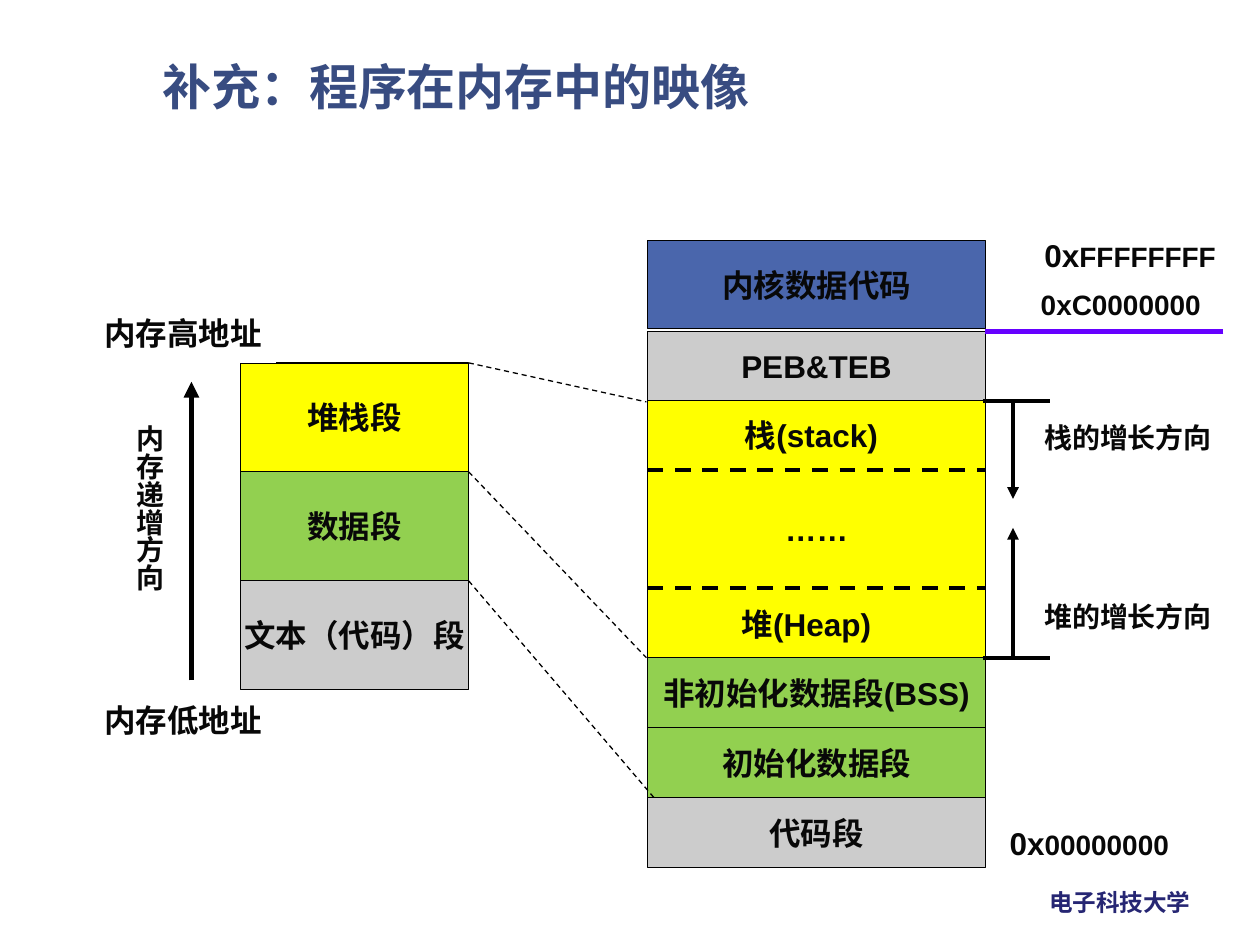
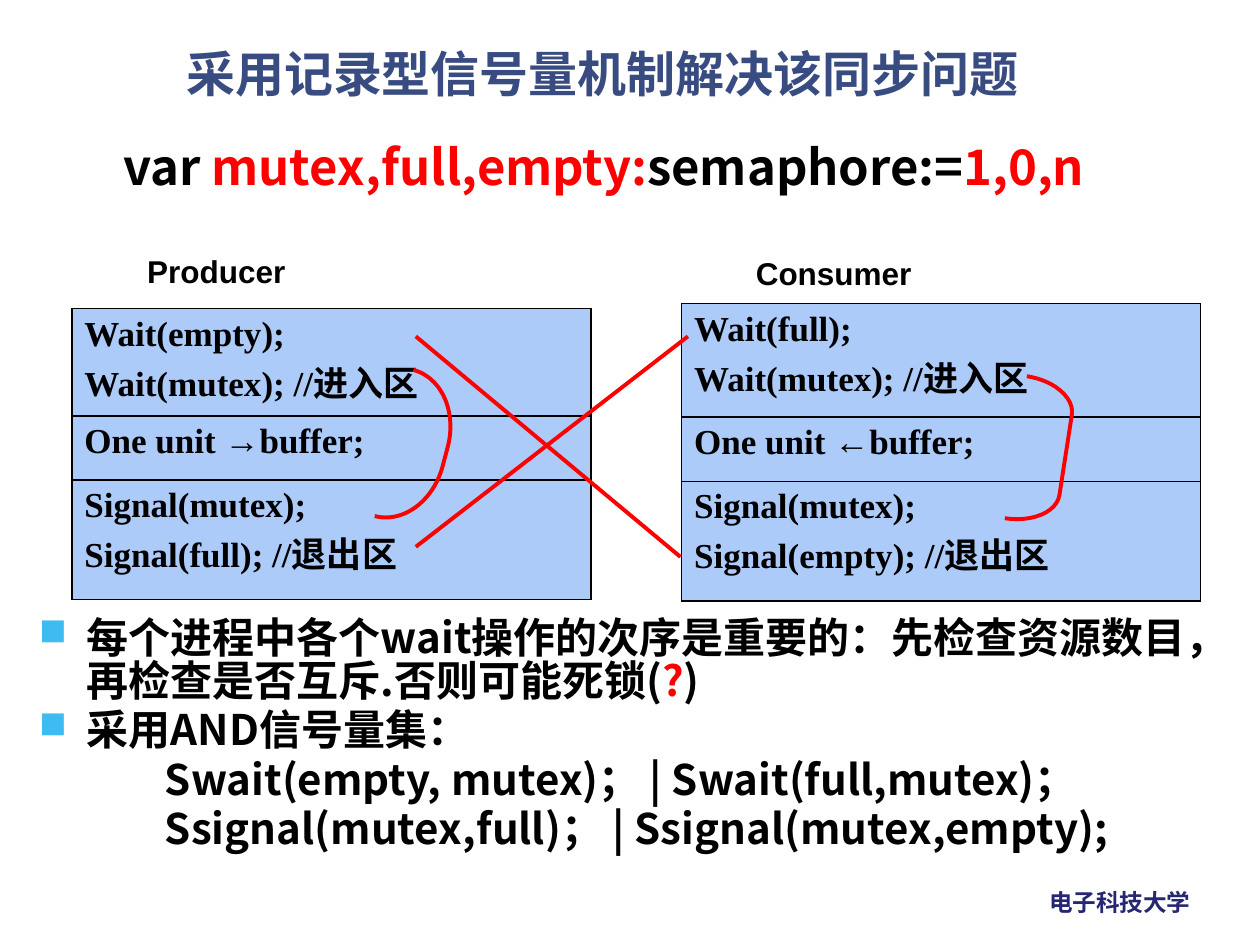
"""Build two lecture slides: a process memory map and the producer-consumer semaphores."""
from dataclasses import dataclass
from typing import NamedTuple, Optional

from lxml.etree import SubElement
from pptx import Presentation
from pptx.dml.color import RGBColor
from pptx.enum.dml import MSO_LINE_DASH_STYLE as Dash
from pptx.enum.shapes import MSO_CONNECTOR as Connector, MSO_SHAPE as Preset
from pptx.enum.text import MSO_ANCHOR as Anchor, PP_ALIGN as Align
from pptx.oxml.ns import qn
from pptx.util import Inches, Pt

BLACK = RGBColor(0, 0, 0)
INK = RGBColor(0x08, 0x08, 0x08)
WHITE = RGBColor(0xFF, 0xFF, 0xFF)
TITLE_BLUE = RGBColor(0x38, 0x4C, 0x81)
FOOTER_NAVY = RGBColor(0x26, 0x26, 0x73)
KERNEL_BLUE = RGBColor(0x4A, 0x66, 0xAC)
GRAY = RGBColor(0xCC, 0xCC, 0xCC)
YELLOW = RGBColor(0xFF, 0xFF, 0x00)
GREEN = RGBColor(0x92, 0xD0, 0x50)
VIOLET = RGBColor(0x66, 0x00, 0xFF)
RED = RGBColor(0xFF, 0, 0)
CODE_BLUE = RGBColor(0xAC, 0xCB, 0xF9)
BULLET_BLUE = RGBColor(0x3E, 0xBB, 0xF0)

ARIAL, NOTO, TIMES = "Arial", "Noto Sans CJK SC", "Times New Roman"
COLUMNS, ROWS = 100, 75
SLIDE_WIDTH, SLIDE_HEIGHT = Inches(10), Inches(7.5)


class Area(NamedTuple):
    left: float
    top: float
    width: float
    height: float


class Run(NamedTuple):
    text: str
    size: Optional[float] = None
    color: Optional[RGBColor] = None


@dataclass(frozen=True)
class Style:
    font: str = ARIAL
    size: float = 18
    color: RGBColor = INK
    align: Align = Align.LEFT
    line_spacing: Optional[float] = None
    space_before: float = 0


@dataclass(frozen=True)
class Para:
    runs: tuple[Run, ...]
    bullet: bool = False
    left: float = 0
    first: float = 0


@dataclass(frozen=True)
class Box:
    area: Area
    paras: tuple[Para, ...]
    style: Style
    fill: Optional[RGBColor] = None
    outlined: bool = False
    anchor: Anchor = Anchor.TOP
    wrap: bool = True
    inset: float = 0
    vertical: bool = False


@dataclass(frozen=True)
class Line:
    start: tuple[float, float]
    end: tuple[float, float]
    width: float = 2.25
    color: RGBColor = BLACK
    dashed: bool = False
    arrow: bool = False


@dataclass(frozen=True)
class Process:
    name: str
    label: Area
    code: Area
    rows: tuple[float, ...]
    sections: tuple[tuple[str, ...], ...]


@dataclass(frozen=True)
class Bracket:
    area: Area
    rotation: float
    curve: float


TITLE = Style(NOTO, 28, TITLE_BLUE, line_spacing=0.9)
FOOTER = Style(NOTO, 13.5, FOOTER_NAVY)
CENTERED = Style(align=Align.CENTER)
ADDRESS_END = Style(TIMES, 18, align=Align.JUSTIFY)
DIRECTION = Style(TIMES, 16, align=Align.JUSTIFY)
DECLARATION = Style(NOTO, 28, BLACK)
NOTES = Style(NOTO, 24, BLACK, line_spacing=0.86, space_before=3.4)
PROCESS_NAME = Style(color=BLACK)
CODE = Style(TIMES, 20, BLACK, space_before=1)


def x(columns: float) -> int:
    return round(SLIDE_WIDTH * columns / COLUMNS)


def y(rows: float) -> int:
    return round(SLIDE_HEIGHT * rows / ROWS)


def place(area: Area) -> tuple[int, int, int, int]:
    return x(area.left), y(area.top), x(area.width), y(area.height)


def plain(*texts: str) -> tuple[Para, ...]:
    return tuple(Para((Run(text),)) for text in texts)


def add_bullet(properties) -> None:
    color = SubElement(properties, qn("a:buClr"))
    SubElement(color, qn("a:srgbClr"), val=str(BULLET_BLUE))
    SubElement(properties, qn("a:buSzPct"), val="90000")
    SubElement(properties, qn("a:buChar"), char="■")


def write(frame, paras: tuple[Para, ...], style: Style) -> None:
    for index, para in enumerate(paras):
        paragraph = frame.paragraphs[0] if index == 0 else frame.add_paragraph()
        properties = paragraph._p.get_or_add_pPr()
        if para.left:
            properties.set("marL", str(x(para.left)))
            properties.set("indent", str(x(para.first)))
        if para.bullet:
            add_bullet(properties)
        paragraph.alignment = style.align
        if style.line_spacing:
            paragraph.line_spacing = style.line_spacing
        if index and style.space_before:
            paragraph.space_before = Pt(style.space_before)
        font = paragraph.font
        font.size, font.bold, font.name = Pt(style.size), True, style.font
        font.color.rgb = style.color
        SubElement(font._element, qn("a:ea"), typeface=NOTO)
        for part in para.runs:
            run = paragraph.add_run()
            run.text = part.text
            if part.size:
                run.font.size = Pt(part.size)
            if part.color:
                run.font.color.rgb = part.color


def draw_box(slide, box: Box) -> None:
    if box.fill is None:
        shape = slide.shapes.add_textbox(*place(box.area))
    else:
        shape = slide.shapes.add_shape(Preset.RECTANGLE, *place(box.area))
        shape.shadow.inherit = False
        shape.fill.solid()
        shape.fill.fore_color.rgb = box.fill
        if box.outlined:
            shape.line.color.rgb = BLACK
            shape.line.width = Pt(0.75)
        else:
            shape.line.fill.background()
    frame = shape.text_frame
    frame.word_wrap = box.wrap
    frame.vertical_anchor = box.anchor
    frame.margin_top = frame.margin_bottom = y(box.inset)
    if box.vertical:
        frame._txBody.bodyPr.set("vert", "eaVert")
    write(frame, box.paras, box.style)


def draw_line(slide, line: Line) -> None:
    (x1, y1), (x2, y2) = line.start, line.end
    link = slide.shapes.add_connector(Connector.STRAIGHT, x(x1), y(y1), x(x2), y(y2))
    link.line.color.rgb = line.color
    link.line.width = Pt(line.width)
    if line.dashed:
        link.line.dash_style = Dash.DASH
    if line.arrow:
        SubElement(link.line._get_or_add_ln(), qn("a:tailEnd"), type="triangle")
    SubElement(link._element.spPr, qn("a:effectLst"))


def draw_bracket(slide, bracket: Bracket) -> None:
    shape = slide.shapes.add_shape(Preset.RIGHT_BRACKET, *place(bracket.area))
    shape.shadow.inherit = False
    shape.adjustments[0] = bracket.curve
    shape.rotation = bracket.rotation
    shape.fill.background()
    shape.line.color.rgb = RED
    shape.line.width = Pt(2.25)


def border_cell(cell) -> None:
    properties = cell._tc.get_or_add_tcPr()
    for position, side in enumerate(("lnL", "lnR", "lnT", "lnB")):
        edge = properties.makeelement(qn(f"a:{side}"), {"w": str(Pt(1))})
        fill = SubElement(edge, qn("a:solidFill"))
        SubElement(fill, qn("a:srgbClr"), val=str(BLACK))
        properties.insert(position, edge)


def draw_process(slide, process: Process) -> None:
    draw_box(slide, Box(process.label, plain(f"\t{process.name}"), PROCESS_NAME, inset=0.5))
    table = slide.shapes.add_table(len(process.rows), 1, *place(process.code)).table
    table.first_row = table.horz_banding = False
    for index, (height, section) in enumerate(zip(process.rows, process.sections)):
        table.rows[index].height = y(height)
        cell = table.cell(index, 0)
        cell.fill.solid()
        cell.fill.fore_color.rgb = CODE_BLUE
        border_cell(cell)
        write(cell.text_frame, plain(*section), CODE)


def start_slide(deck, title: str, title_area: Area):
    slide = deck.slides.add_slide(deck.slide_layouts[6])
    draw_box(slide, Box(Area(82.3, 70.5, 13.4, 3.3), plain("电子科技大学"), FOOTER, wrap=False))
    draw_box(slide, Box(title_area, plain(title), TITLE))
    return slide


def segment(text: str, area: Area, fill: Optional[RGBColor] = None) -> Box:
    return Box(area, plain(text), CENTERED, fill, True, Anchor.MIDDLE, False, 0.5)


def build_memory_map(deck) -> None:
    slide = start_slide(deck, "补充：程序在内存中的映像", Area(11.9, 5, 76.4, 7.6))
    map_left, map_width, row = 51.4, 26.8, 5.55
    stack_top, heap_bottom, map_right = 31.8, 52.2, 78.2
    program_left, program_top, program_row, program_right = 19.1, 28.8, 8.65, 37.2

    def mapped(text: str, top: float, height: float, fill: RGBColor) -> Box:
        return segment(text, Area(map_left, top, map_width, height), fill)

    program = (("堆栈段", YELLOW), ("数据段", GREEN), ("文本（代码）段", GRAY))
    lower = (("非初始化数据段(BSS)", GREEN), ("初始化数据段", GREEN), ("代码段", GRAY))
    boxes = [
        segment(text, Area(program_left, program_top + i * program_row, 18.1, program_row), fill)
        for i, (text, fill) in enumerate(program)
    ]
    boxes += [
        mapped("内核数据代码", 19.1, 7, KERNEL_BLUE),
        mapped("PEB&TEB", 26.3, 5.5, GRAY),
        mapped("……", stack_top, heap_bottom - stack_top, YELLOW),
        *(mapped(text, heap_bottom + i * row, row, fill) for i, (text, fill) in enumerate(lower)),
        segment("栈(stack)", Area(51.4, 31, 26, 7.1)),
        segment("堆(Heap)", Area(50.6, 46, 26.8, 7.1)),
        Box(Area(7.3, 24.9, 14.6, 3.9), plain("内存高地址"), ADDRESS_END, WHITE),
        Box(Area(7.3, 55.6, 14.6, 3.9), plain("内存低地址"), ADDRESS_END, WHITE),
        Box(Area(8.4, 33.7, 5.3, 19.5), plain("内存递增方向"), DIRECTION, WHITE, vertical=True),
        Box(Area(81.9, 33.4, 16, 3.9), plain("栈的增长方向"), DIRECTION),
        Box(Area(81.9, 47.6, 16, 3.9), plain("堆的增长方向"), DIRECTION),
    ]
    addresses = (
        (Area(79.4, 18.2, 20.6, 4.1), (Run("0x"), Run("FFFFFFFF", 16))),
        (Area(79.1, 22.3, 19.7, 3.7), (Run("0xC0000000", 16),)),
        (Area(75.8, 64.9, 21.3, 4.1), (Run("0x"), Run("00000000", 16))),
    )
    boxes += [Box(area, (Para(runs),), CENTERED, inset=0.5) for area, runs in addresses]
    for box in boxes:
        draw_box(slide, box)

    lines = [Line((map_left, top), (map_right, top), dashed=True) for top in (37.3, 46.7)]
    lines += [Line((78, top), (83.3, top)) for top in (stack_top, heap_bottom)]
    lines += [
        Line((program_right, program_top + i * program_row), end, 0.75, dashed=True)
        for i, end in enumerate(((51.3, 31.9), (51.3, 52.2), (51.9, 63.3)))
    ]
    lines += [
        Line((15.2, 54), (15.2, 30.3), 3, arrow=True),
        Line((80.4, stack_top), (80.4, 39.6), arrow=True),
        Line((80.4, heap_bottom), (80.4, 41.9), arrow=True),
        Line((97.1, 26.3), (map_right, 26.3), 3, VIOLET),
    ]
    for line in lines:
        draw_line(slide, line)


def build_semaphores(deck) -> None:
    slide = start_slide(deck, "采用记录型信号量机制解决该同步问题", Area(13.8, 4, 85, 4.2))
    declaration = (Run("var "), Run("mutex,full,empty:", color=RED),
                   Run("semaphore:="), Run("1,0,n", color=RED))
    draw_box(slide, Box(Area(8.8, 10.8, 84.3, 5.7), (Para(declaration),), DECLARATION))
    order = (Run("每个进程中各个wait操作的次序是重要的：先检查资源数目，再检查是否互斥.否则可能死锁("),
             Run("?", color=RED), Run(")"))
    notes = (
        Para(order, True, 3.8, -3.8),
        Para((Run("采用AND信号量集："),), True, 3.8, -3.8),
        Para((Run("Swait(empty, mutex)； | Swait(full,mutex)；"),), False, 12.5, -2.5),
        Para((Run("Ssignal(mutex,full)； | Ssignal(mutex,empty);"),), False, 12.5, -2.5),
    )
    draw_box(slide, Box(Area(2.1, 48.6, 97.9, 23.6), notes, NOTES, inset=0.5))
    processes = (
        Process("Producer", Area(5.7, 19.5, 41.2, 4), Area(5.7, 24.5, 41.2, 23.1), (8.5, 5.1, 9.5),
                (("Wait(empty);", "Wait(mutex); //进入区"), ("One unit →buffer;",),
                 ("Signal(mutex);", "Signal(full); //退出区"))),
        Process("Consumer", Area(54, 19.7, 41.2, 4), Area(54.1, 24.1, 41.2, 23.6), (9, 5.1, 9.5),
                (("Wait(full);", "Wait(mutex); //进入区"), ("One unit ←buffer;",),
                 ("Signal(mutex);", "Signal(empty); //退出区"))),
    )
    for process in processes:
        draw_process(slide, process)
    for start, end in (((33, 26.7), (54, 44.2)), ((33, 43.4), (54.6, 26.7))):
        draw_line(slide, Line(start, end, color=RED))
    draw_bracket(slide, Bracket(Area(31.2, 29.7, 4.2, 12), 14.8, 1.24))
    draw_bracket(slide, Bracket(Area(80.6, 30.1, 4, 11.4), 8.8, 0.62))


def main() -> None:
    deck = Presentation()
    deck.slide_width, deck.slide_height = SLIDE_WIDTH, SLIDE_HEIGHT
    build_memory_map(deck)
    build_semaphores(deck)
    deck.save("out.pptx")


if __name__ == "__main__":
    main()
